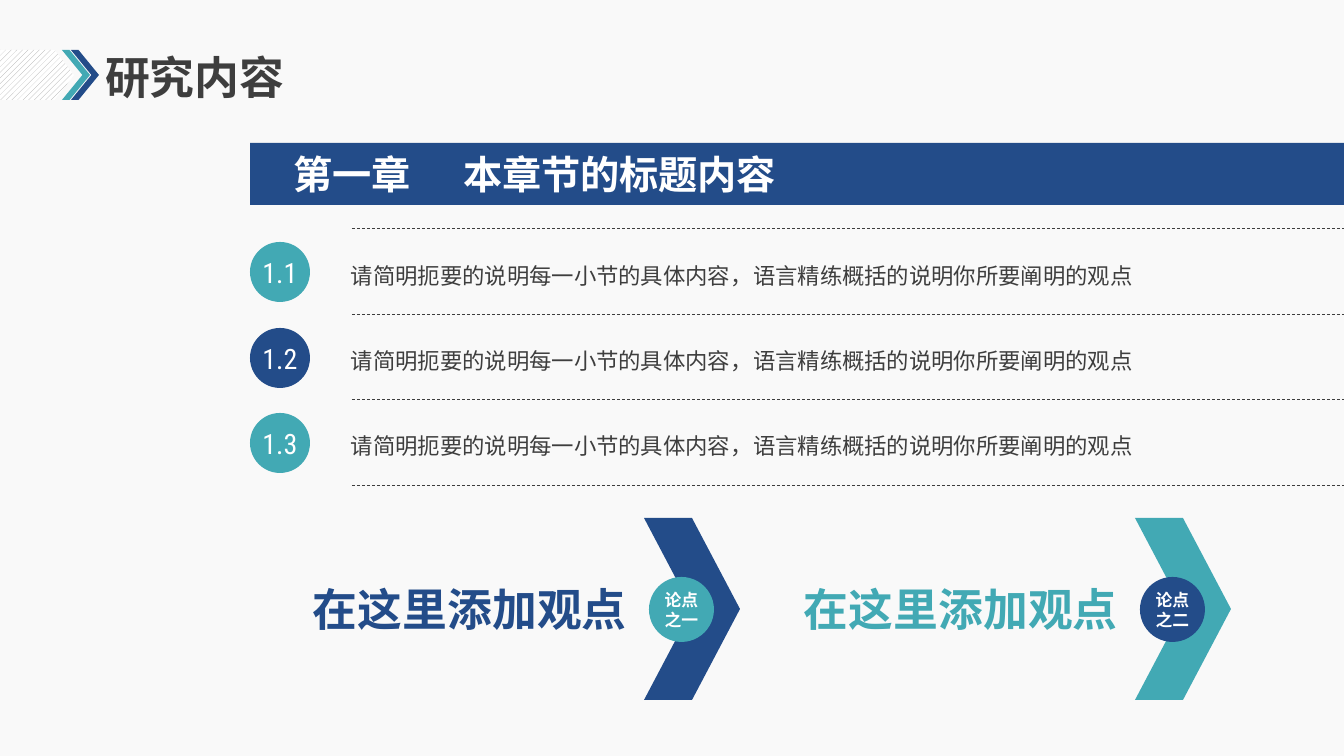
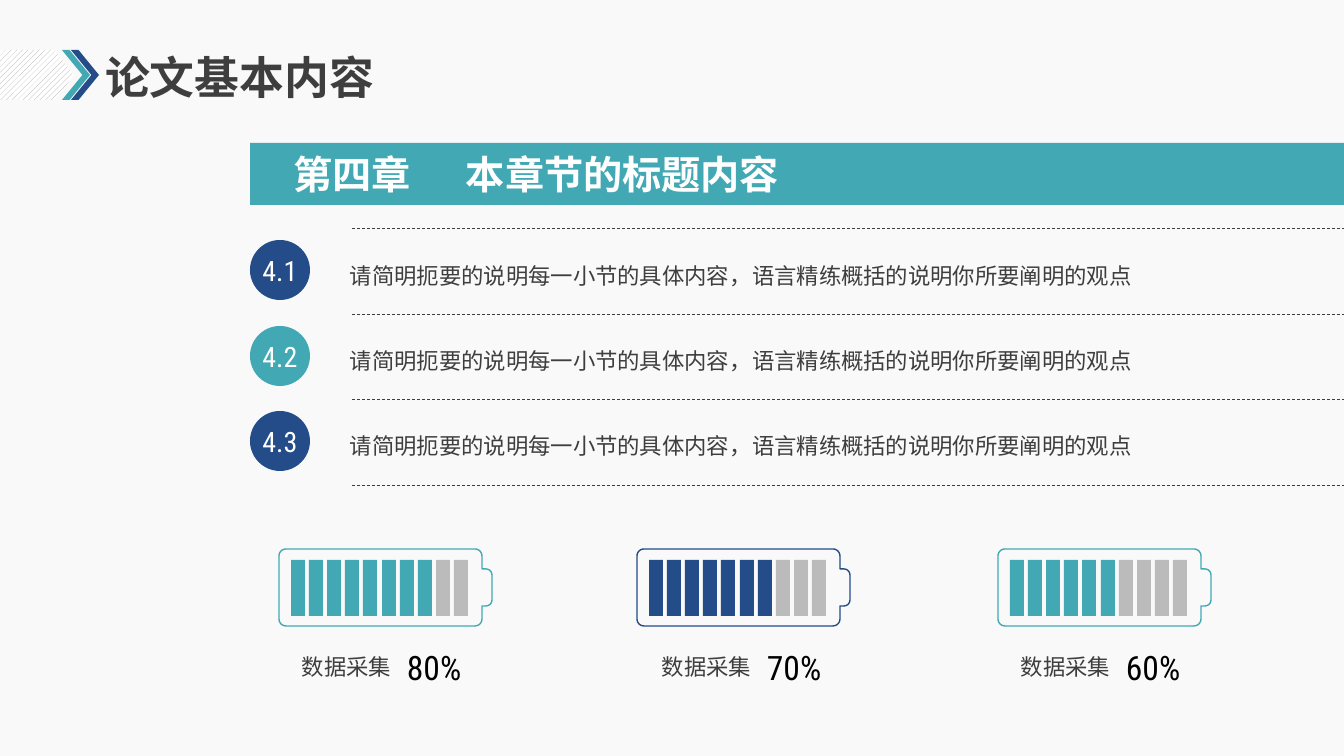
import math

import lxml.etree
import pptx
import pptx.dml.color
import pptx.enum.dml
import pptx.enum.shapes
import pptx.enum.text
import pptx.oxml.ns
import pptx.util

RGB = pptx.dml.color.RGBColor
KIND = pptx.enum.shapes.MSO_SHAPE
ALIGN = pptx.enum.text.PP_ALIGN
ANCHOR = pptx.enum.text.MSO_ANCHOR
qn = pptx.oxml.ns.qn
Pt = pptx.util.Pt

BLUE = RGB(0x23, 0x4C, 0x89)
TEAL = RGB(0x42, 0xA9, 0xB4)
INK = RGB(0x3E, 0x3E, 0x3E)
GREY = RGB(0xBB, 0xBB, 0xBB)
HATCH = RGB(0xA6, 0xA6, 0xA6)
PAPER = RGB(0xF9, 0xF9, 0xF9)
WHITE = RGB(0xFF, 0xFF, 0xFF)
BLACK = RGB(0, 0, 0)

HAN = "Noto Sans CJK SC"
DIGIT = "Roboto Condensed"
HEAD = "Karla"
PLAIN = "Calibri"

WIDE, HIGH = 1344, 756
SCALE = 12192000 / WIDE


def px(*nums):
    return [pptx.util.Emu(round(n * SCALE)) for n in nums]


class Deck:
    def __init__(self):
        self.show = pptx.Presentation()
        self.show.slide_width, self.show.slide_height = px(WIDE, HIGH)
        fill = self.show.slide_master.background.fill
        fill.solid()
        fill.fore_color.rgb = PAPER

    def page(self, title):
        self.slide = self.show.slides.add_slide(self.show.slide_layouts[5])
        self.shapes = self.slide.shapes
        tail = self.shape(KIND.PENTAGON, (0, 50, 74, 50), WHITE)
        tail.adjustments[0] = 0.39
        tail.fill.patterned()
        tail.fill.pattern = pptx.enum.dml.MSO_PATTERN.WIDE_UPWARD_DIAGONAL
        tail.fill.fore_color.rgb = HATCH
        tail.fill.back_color.rgb = WHITE
        for left, color in ((62, TEAL), (71, BLUE)):
            mark = self.shape(KIND.CHEVRON, (left, 50, 28, 50), color)
            mark.adjustments[0] = 0.73
        head = self.shapes.title
        head.left, head.top, head.width, head.height = px(95, 55, 498, 50)
        para = self.label(head, title, 32, INK, HEAD, True,
                          anchor=ANCHOR.MIDDLE)
        para.line_spacing = 0.9

    def label(self, shape, text, size, color, font=HAN, bold=False,
              align=ALIGN.LEFT, anchor=ANCHOR.TOP, inset=None):
        frame = shape.text_frame
        frame.word_wrap = True
        frame.auto_size = pptx.enum.text.MSO_AUTO_SIZE.NONE
        frame.vertical_anchor = anchor
        if inset is not None:
            frame.margin_left = px(inset)[0]
            frame.margin_top = frame.margin_right = frame.margin_bottom = 0
        para = frame.paragraphs[0]
        para.text = text
        para.alignment = align
        style = para.font
        style.size, style.bold, style.name = Pt(size), bold, font
        style.color.rgb = color
        east = lxml.etree.Element(qn("a:ea"), typeface=HAN)
        para._p.find(".//" + qn("a:latin")).addnext(east)
        return para

    def shape(self, kind, box, color):
        item = self.shapes.add_shape(kind, *px(*box))
        item.shadow.inherit = False
        item.fill.solid()
        item.fill.fore_color.rgb = color
        item.line.fill.background()
        return item

    def text(self, box, text, size, color, **style):
        item = self.shapes.add_textbox(*px(*box))
        return self.label(item, text, size, color, **style)

    def disc(self, box, text, size, color, **style):
        item = self.shape(KIND.OVAL, box, color)
        self.label(item, text, size, WHITE, align=ALIGN.CENTER,
                   anchor=ANCHOR.MIDDLE, inset=0, **style)

    def rule(self, top):
        line = self.shapes.add_connector(
            pptx.enum.shapes.MSO_CONNECTOR.STRAIGHT,
            *px(352, top, WIDE, top))
        line.line.color.rgb = INK
        line.line.width = Pt(0.5)
        line.line.dash_style = pptx.enum.dml.MSO_LINE.DASH
        lxml.etree.SubElement(line._element.spPr, qn("a:effectLst"))

    def banner(self, color, name, left, width, title):
        bar = self.shape(KIND.RECTANGLE, (250, 143, WIDE - 250, 62), color)
        self.label(bar, name, 28, WHITE, bold=True,
                   anchor=ANCHOR.MIDDLE, inset=43)
        self.text((left, 143, width, 62), title, 28, WHITE, bold=True,
                  align=ALIGN.JUSTIFY, anchor=ANCHOR.MIDDLE, inset=16)

    def rows(self, part, colors, left, top):
        for i in range(4):
            self.rule(228 + (257 * i + 1) // 3)
        for i, color in enumerate(colors):
            para = self.text((left, 253 + 85 * i, 823, 40),
                             "请简明扼要的说明每一小节的具体内容，", 16, INK)
            para.line_spacing = Pt(22)
            rest = para.add_run()
            rest.text = "语言精练概括的说明你所要阐明的观点"
            rest.font.name = PLAIN
            self.disc((250, top + (171 * i + 1) // 2, 60, 60),
                      f"{part}.{i + 1}", 20, color, font=DIGIT)

    def point(self, left, color, other, name):
        self.shape(KIND.CHEVRON, (left + 337, 518, 96, 182), color)
        self.disc((left + 342, 577, 65, 65), name, 12, other, bold=True)
        self.text((left, 582, 320, 54), "在这里添加观点", 32, color,
                  bold=True, align=ALIGN.RIGHT, inset=0)

    def case(self, left, top, color):
        arcs = ((196, 7, 7, -90), (203, 20, 0, 0), (207, 26, 6, -90),
                (207, 51, 6, 0), (203, 57, 0, 0), (196, 70, 7, 0),
                (7, 70, 7, 90), (7, 7, 7, 180))
        spots = []
        for x, y, size, start in arcs:
            for step in range(0, 91 if size else 1, 15):
                turn = math.radians(start + step)
                spots.append(px(left + x + size * math.cos(turn),
                                top + y + size * math.sin(turn)))
        trace = self.shapes.build_freeform(*spots[0], scale=1.0)
        trace.add_line_segments(spots[1:], close=True)
        item = trace.convert_to_shape()
        item.shadow.inherit = False
        item.fill.background()
        item.line.color.rgb = color
        item.line.width = Pt(1)

    def meter(self, left, start, color, tenths):
        self.case(left, 549, color)
        for i in range(10):
            self.shape(KIND.RECTANGLE, (left + 12 + 91 * i // 5, 560, 14, 56),
                       color if i < tenths else GREY)
        self.text((start, 648, 115, 37), "数据采集", 16, INK)
        self.text((start + 105, 642, 76, 50), f"{tenths}0%", 24, BLACK,
                  font=DIGIT)


def main():
    deck = Deck()

    deck.page("研究内容")
    deck.banner(BLUE, "第一章", 447, 717, "本章节的标题内容")
    deck.rows(1, (TEAL, BLUE, TEAL), 341, 242)
    deck.point(307, BLUE, TEAL, "论点之一")
    deck.point(798, TEAL, BLUE, "论点之二")

    deck.page("论文基本内容")
    deck.banner(TEAL, "第四章", 450, 498, "本章节的标题内容")
    deck.rows(4, (BLUE, TEAL, BLUE), 340, 240)
    deck.meter(279, 292, TEAL, 8)
    deck.meter(637, 652, BLUE, 7)
    deck.meter(998, 1011, TEAL, 6)

    deck.show.save("out.pptx")


if __name__ == "__main__":
    main()
